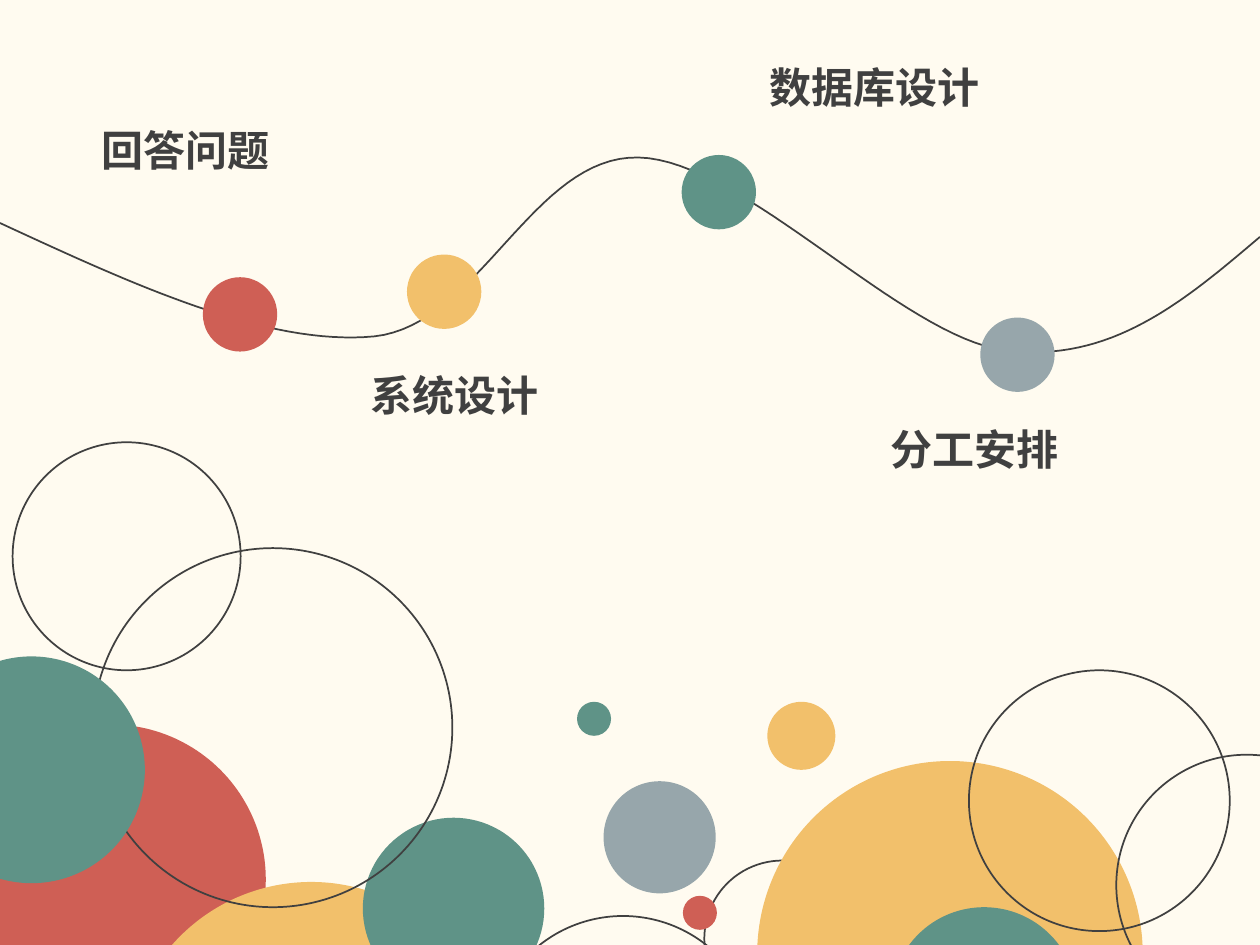
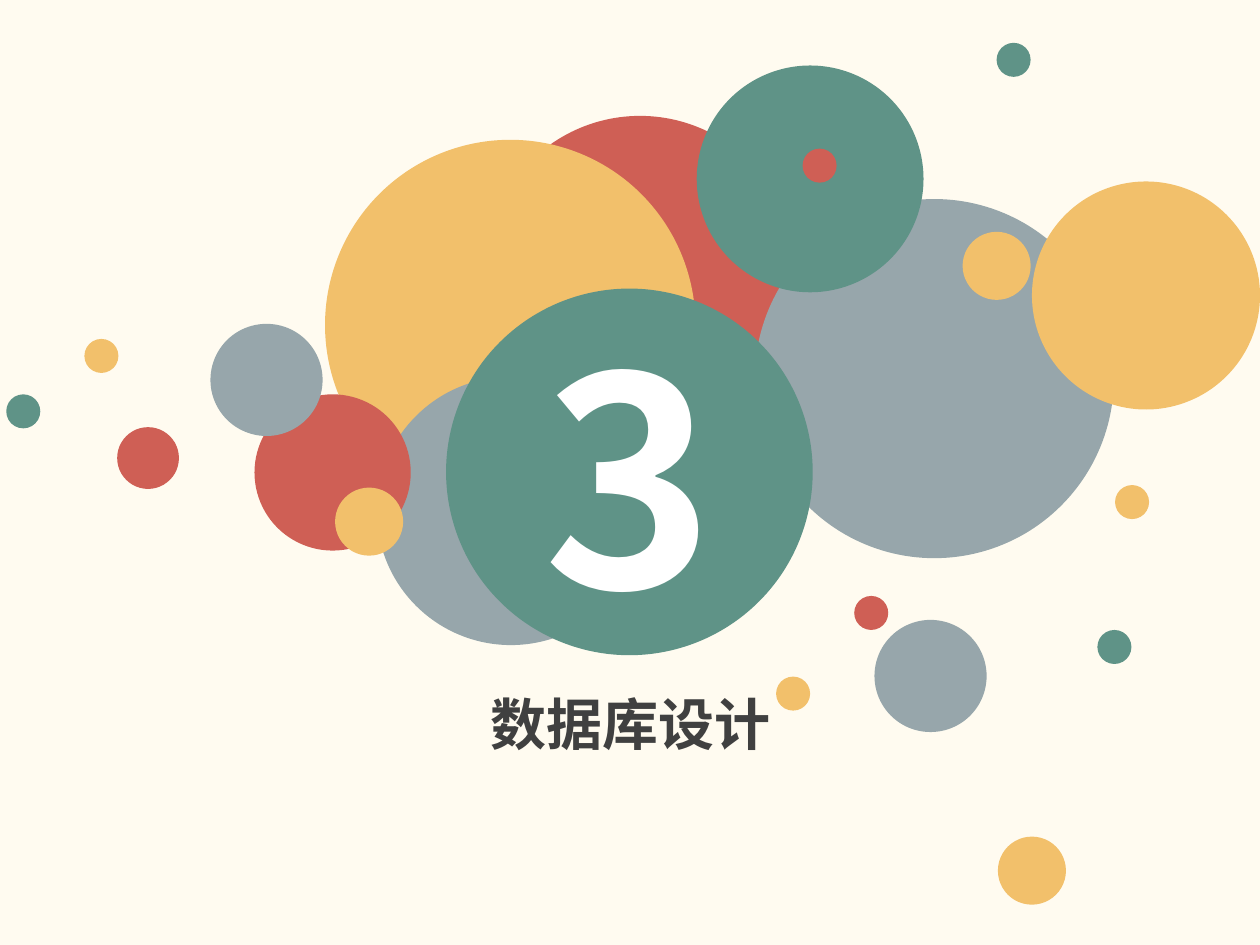
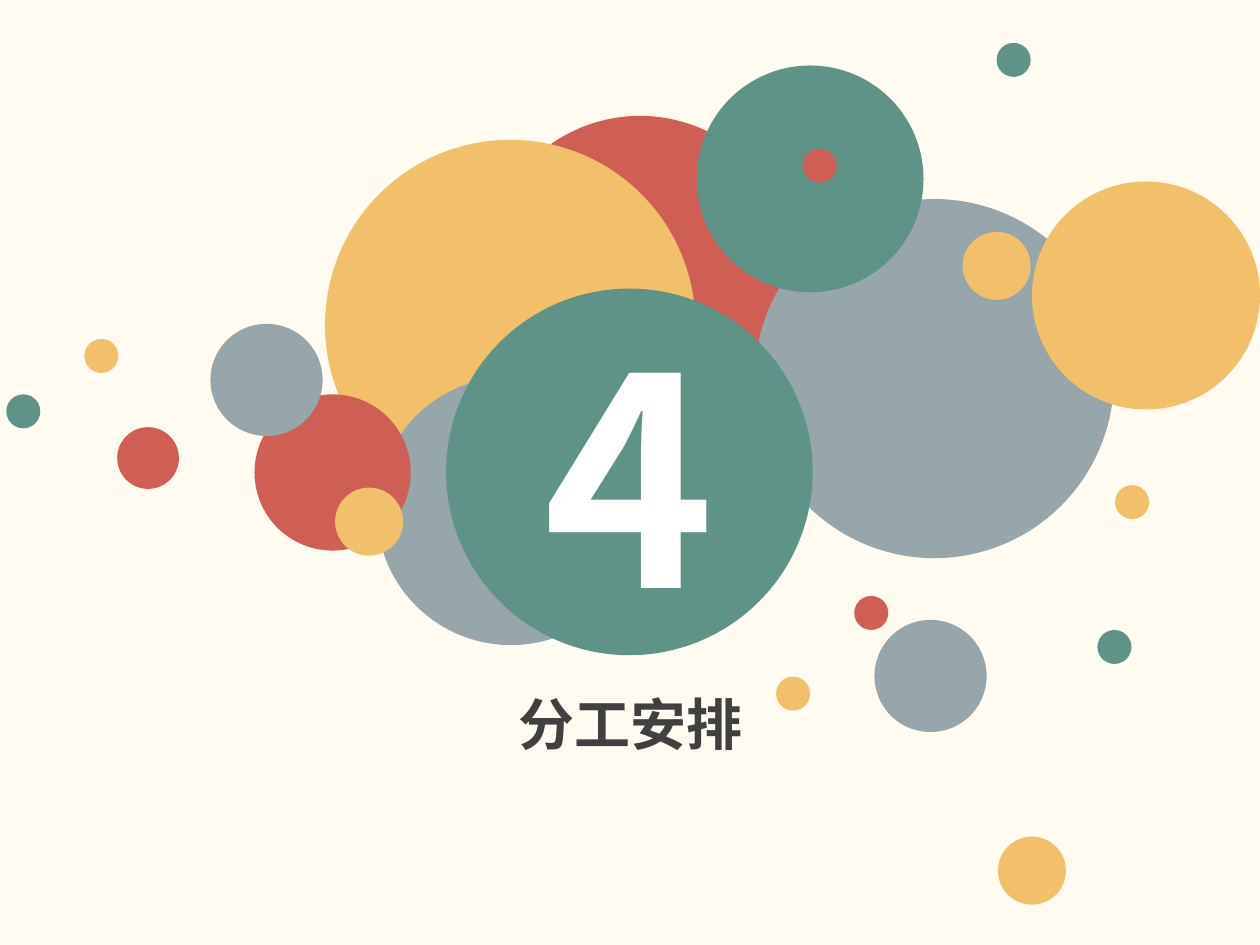
from lxml import etree
from pptx import Presentation
from pptx.dml.color import RGBColor
from pptx.enum.shapes import MSO_SHAPE
from pptx.enum.text import MSO_ANCHOR, MSO_AUTO_SIZE, PP_ALIGN
from pptx.oxml.ns import qn
from pptx.util import Pt

PX = 9144  # 100 px to the inch
OVAL = MSO_SHAPE.OVAL
MIDDLE, TOP = MSO_ANCHOR.MIDDLE, MSO_ANCHOR.TOP
LEFT, CENTER = PP_ALIGN.LEFT, PP_ALIGN.CENTER
GROW = MSO_AUTO_SIZE.SHAPE_TO_FIT_TEXT

FONT = "Noto Sans CJK SC"
CREAM, WHITE, INK = "FFFBF0", "FFFFFF", "404040"
RED, GOLD, GREEN, GRAY = "CF5F55", "F2C06B", "5F9387", "97A6AB"
rgb = RGBColor.from_string


def disc(slide, x, y, size, color=None):
    """Filled circle, or a thin ring when no colour is given."""
    shape = slide.shapes.add_shape(OVAL, x * PX, y * PX, size * PX, size * PX)
    shape.shadow.inherit = False
    if color:
        shape.fill.solid()
        shape.fill.fore_color.rgb = rgb(color)
        shape.line.fill.background()
    else:
        shape.fill.background()
        shape.line.color.rgb = rgb(INK)
        shape.line.width = Pt(1)
    return shape


def write(shape, text, size=24, color=INK, align=LEFT, anchor=TOP, fit=None):
    frame = shape.text_frame
    frame.word_wrap = True
    frame.vertical_anchor = anchor
    if fit is not None:
        frame.auto_size = fit
    para = frame.paragraphs[0]
    para.alignment = align
    run = para.add_run()
    run.text = text
    run.font.name = FONT
    run.font.size = Pt(size)
    run.font.bold = True
    run.font.color.rgb = rgb(color)
    east = etree.SubElement(run.font._element, qn("a:ea"))
    east.set("typeface", FONT)


prs = Presentation()
prs.slide_width, prs.slide_height = 1000 * PX, 750 * PX
blank = prs.slide_layouts[6]
back = prs.slide_master.background.fill
back.solid()
back.fore_color.rgb = rgb(CREAM)

# Agenda: bubbles along the bottom, back to front
agenda = prs.slides.add_slide(blank)
bubbles = [
    (-35, 575, 246, RED), (100, 700, 294, GOLD), (288, 649, 144, GREEN),
    (388, 727, 213, None), (74, 435, 285, None), (-65, 521, 180, GREEN),
    (559, 683, 124, None), (601, 604, 306, GOLD), (707, 720, 148, GREEN),
    (769, 532, 207, None), (886, 599, 207, None), (479, 620, 89, GRAY),
    (542, 711, 27, RED), (458, 557, 27, GREEN), (609, 557, 54, GOLD),
    (10, 351, 181, None),
]
for x, y, size, color in bubbles:
    disc(agenda, x, y, size, color)

# Agenda: wavy line, each cubic curve cut into short steps
start = (0, 177)
curves = [
    ((106, 226), (212, 275), (297, 267)),
    ((381, 258), (423, 123), (507, 125)),
    ((590, 127), (716, 268), (798, 278)),
    ((881, 289), (940, 239), (1000, 188)),
]
STEPS = 32
points = []
last = start
for one, two, end in curves:
    for step in range(1, STEPS + 1):
        t = step / STEPS
        u = 1 - t
        points.append(tuple(
            PX * (u**3 * a + 3 * u * u * t * b + 3 * u * t * t * c + t**3 * d)
            for a, b, c, d in zip(last, one, two, end)))
    last = end
pen = agenda.shapes.build_freeform(start[0] * PX, start[1] * PX)
pen.add_line_segments(points, close=False)
wave = pen.convert_to_shape()
wave.shadow.inherit = False
wave.fill.background()
wave.line.color.rgb = rgb(INK)
wave.line.width = Pt(1)

# Agenda: stops on the line, then their labels
topics = [
    ("回答问题", RED, (161, 220), (71, 94)),
    ("系统设计", GOLD, (323, 202), (284, 288)),
    ("数据库设计", GREEN, (541, 123), (601, 44)),
    ("分工安排", GRAY, (778, 252), (697, 331)),
]
for _, color, (x, y), _ in topics:
    disc(agenda, x, y, 59, color)
for text, _, _, (x, y) in topics:
    box = agenda.shapes.add_textbox(x * PX, y * PX, 311 * PX, 50 * PX)
    write(box, text, fit=GROW)

# Section slides: shared cluster of discs, back to front
cluster = [
    (385, 92, 246, RED), (258, 111, 294, GOLD), (299, 299, 213, GRAY),
    (599, 158, 285, GRAY), (553, 52, 180, GREEN), (202, 313, 124, RED),
    (694, 492, 89, GRAY), (678, 473, 27, RED), (616, 537, 27, GOLD),
    (871, 500, 27, GREEN), (792, 664, 54, GOLD), (819, 144, 181, GOLD),
    (167, 257, 89, GRAY), (93, 339, 49, RED), (67, 269, 27, GOLD),
    (5, 313, 27, GREEN), (266, 387, 54, GOLD), (637, 118, 27, RED),
    (885, 385, 27, GOLD), (791, 34, 27, GREEN), (764, 184, 54, GOLD),
]
for number in (3, 4):
    section = prs.slides.add_slide(blank)
    for x, y, size, color in cluster:
        disc(section, x, y, size, color)
    badge = disc(section, 354, 229, 291, GREEN)
    write(badge, str(number), size=166, color=WHITE, align=CENTER,
          anchor=MIDDLE)
    title = section.shapes.add_textbox(199 * PX, 542 * PX, 603 * PX, 64 * PX)
    write(title, topics[number - 1][0], size=32, align=CENTER, fit=GROW)

prs.save("out.pptx")
